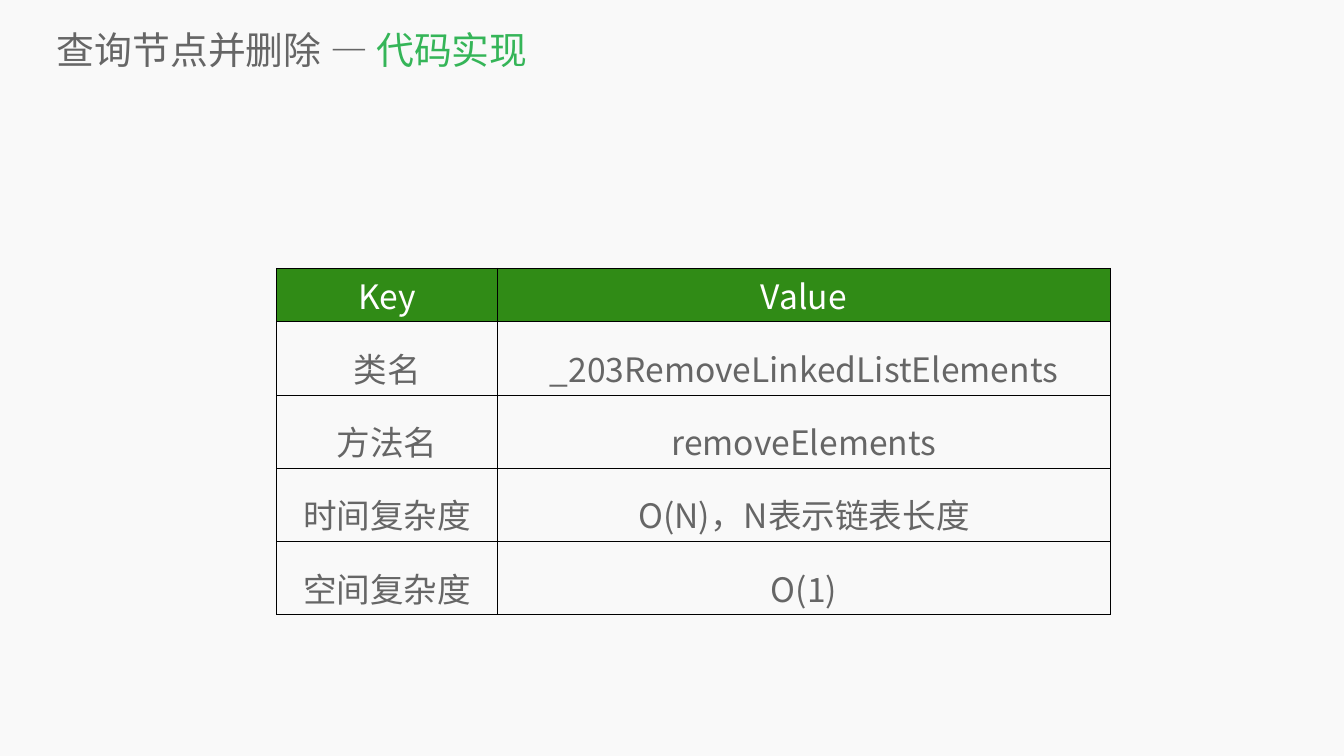
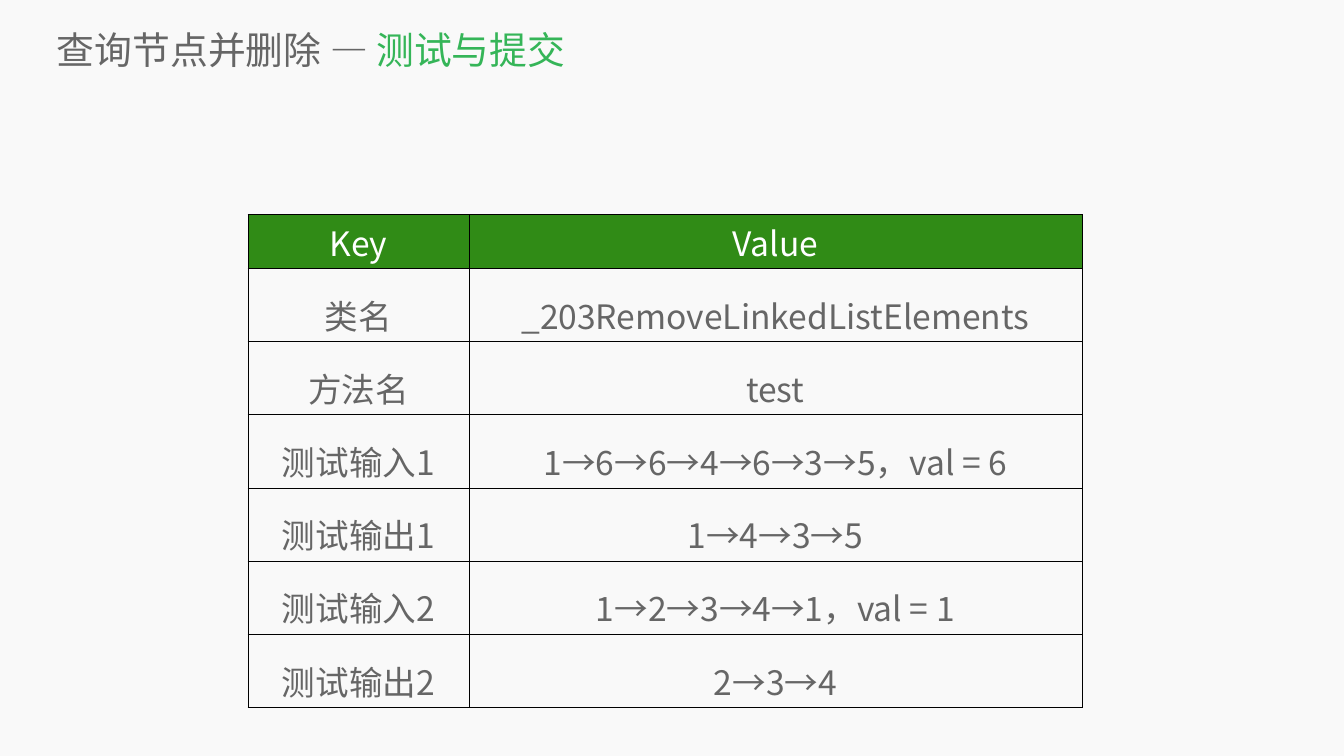
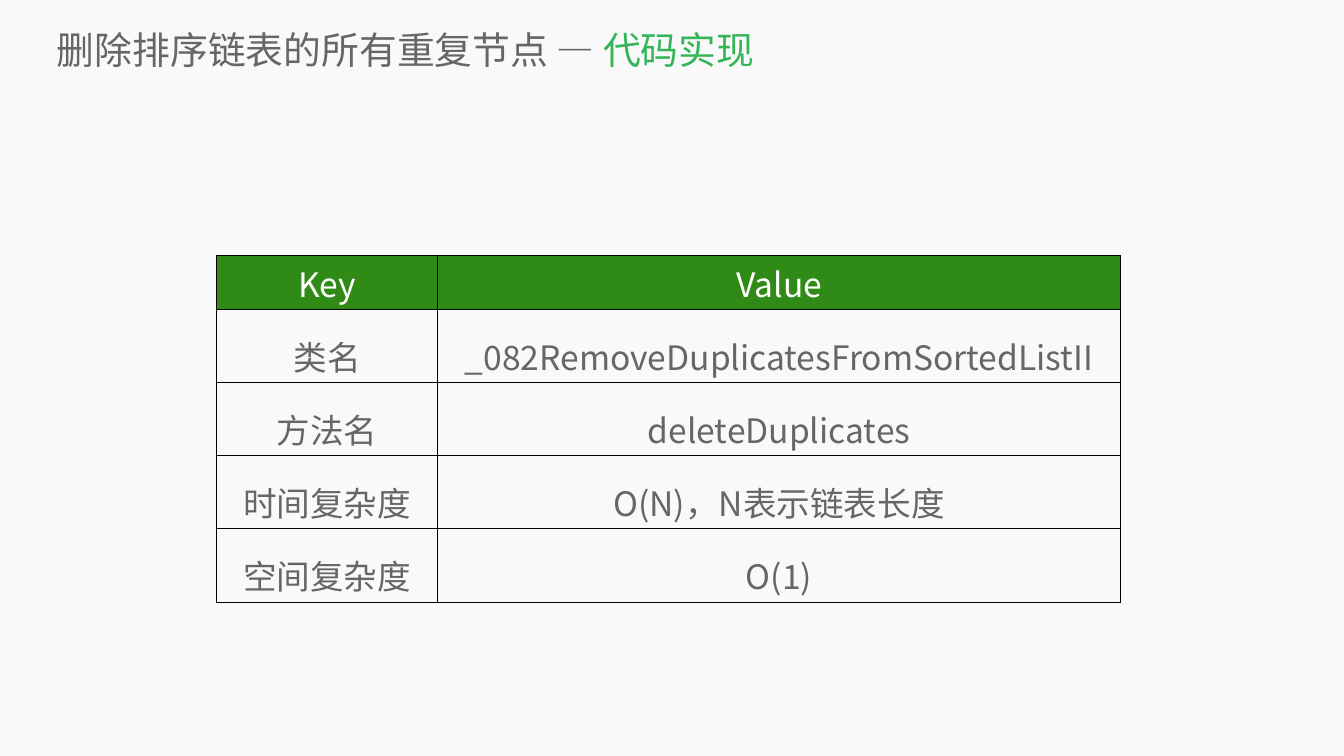
from dataclasses import dataclass

import lxml.etree
import pptx
import pptx.dml.color
import pptx.enum.text
import pptx.oxml.ns
import pptx.slide
import pptx.table
import pptx.text.text
import pptx.util
from pptx.util import Cm

RGBColor = pptx.dml.color.RGBColor
PAPER = RGBColor(0xF9, 0xF9, 0xF9)
GREY = RGBColor(0x66, 0x66, 0x66)
ACCENT = RGBColor(0x35, 0xB5, 0x58)
HEADER_GREEN = RGBColor(0x30, 0x8B, 0x16)
WHITE = RGBColor(0xFF, 0xFF, 0xFF)
BLACK = RGBColor(0, 0, 0)

FONT = "Noto Sans CJK SC"
TITLE_SIZE = pptx.util.Pt(54)
CELL_SIZE = pptx.util.Pt(48)
BORDER_WIDTH = pptx.util.Pt(1)
ROW_SPACING = 1.4

KEY_WIDTH = Cm(11.13)
HEADER_HEIGHT = Cm(2.16)
ROW_HEIGHT = Cm(2.11)
FRAME_HEADER = Cm(2.28)
FRAME_ROW = Cm(3.1)

TITLE_FORMAT = {
    "left": Cm(2.87), "top": Cm(1.19), "width": Cm(63.91), "height": Cm(2.59),
}
TITLE_FRAME_FORMAT = {
    "margin_left": 0, "margin_top": 0, "margin_right": 0, "margin_bottom": 0,
    "vertical_anchor": pptx.enum.text.MSO_ANCHOR.MIDDLE,
    "auto_size": pptx.enum.text.MSO_AUTO_SIZE.NONE,
    "word_wrap": True,
}


@dataclass(frozen=True)
class TableSlide:
    topic: str
    step: str
    left: Cm
    top: Cm
    value_width: Cm
    rows: tuple[tuple[str, str], ...]


COMPLEXITY_ROWS = (("时间复杂度", "O(N)，N表示链表长度"), ("空间复杂度", "O(1)"))
REMOVE_CLASS = ("类名", "_203RemoveLinkedListElements")

SLIDES = (
    TableSlide("查询节点并删除", "代码实现", Cm(13.94), Cm(13.51), Cm(30.89), (
        REMOVE_CLASS,
        ("方法名", "removeElements"),
        *COMPLEXITY_ROWS,
    )),
    TableSlide("查询节点并删除", "测试与提交", Cm(12.5), Cm(10.82), Cm(30.89), (
        REMOVE_CLASS,
        ("方法名", "test"),
        ("测试输入1", "1→6→6→4→6→3→5，val = 6"),
        ("测试输出1", "1→4→3→5"),
        ("测试输入2", "1→2→3→4→1，val = 1"),
        ("测试输出2", "2→3→4"),
    )),
    TableSlide("删除排序链表的所有重复节点", "代码实现", Cm(10.92), Cm(12.88), Cm(34.42), (
        ("类名", "_082RemoveDuplicatesFromSortedListII"),
        ("方法名", "deleteDuplicates"),
        *COMPLEXITY_ROWS,
    )),
)


def apply_format(target: object, values: dict[str, object]) -> None:
    for name, value in values.items():
        setattr(target, name, value)


def add_run(paragraph: pptx.text.text._Paragraph, text: str,
            size: pptx.util.Length, color: RGBColor) -> None:
    run = paragraph.add_run()
    run.text = text
    apply_format(run.font, {"name": FONT, "size": size})
    run.font.color.rgb = color
    east_asian = lxml.etree.SubElement(run.font._element, pptx.oxml.ns.qn("a:ea"))
    east_asian.set("typeface", FONT)


def add_borders(cell: pptx.table._Cell) -> None:
    properties = cell._tc.get_or_add_tcPr()
    for side in ("lnL", "lnR", "lnT", "lnB"):
        line = lxml.etree.SubElement(
            properties, pptx.oxml.ns.qn(f"a:{side}"), w=str(BORDER_WIDTH))
        fill = lxml.etree.SubElement(line, pptx.oxml.ns.qn("a:solidFill"))
        lxml.etree.SubElement(fill, pptx.oxml.ns.qn("a:srgbClr"), val=str(BLACK))


def write_cell(cell: pptx.table._Cell, text: str, is_header: bool) -> None:
    add_borders(cell)
    paragraph = cell.text_frame.paragraphs[0]
    paragraph.alignment = pptx.enum.text.PP_ALIGN.CENTER
    if is_header:
        cell.fill.solid()
        cell.fill.fore_color.rgb = HEADER_GREEN
    else:
        cell.fill.background()
        paragraph.line_spacing = ROW_SPACING
    add_run(paragraph, text, CELL_SIZE, WHITE if is_header else GREY)


def add_title(slide: pptx.slide.Slide, content: TableSlide) -> None:
    title = slide.shapes.title
    apply_format(title, TITLE_FORMAT)
    apply_format(title.text_frame, TITLE_FRAME_FORMAT)
    paragraph = title.text_frame.paragraphs[0]
    paragraph.alignment = pptx.enum.text.PP_ALIGN.LEFT
    add_run(paragraph, f"{content.topic} — ", TITLE_SIZE, GREY)
    add_run(paragraph, content.step, TITLE_SIZE, ACCENT)


def add_key_value_table(slide: pptx.slide.Slide, content: TableSlide) -> None:
    rows = (("Key", "Value"), *content.rows)
    frame_height = FRAME_HEADER + FRAME_ROW * len(content.rows)
    frame = slide.shapes.add_table(
        len(rows), 2, content.left, content.top,
        KEY_WIDTH + content.value_width, frame_height)
    table = frame.table
    apply_format(table, {"first_row": False, "horz_banding": False})
    for column, width in zip(table.columns, (KEY_WIDTH, content.value_width)):
        column.width = width
    for row_index, texts in enumerate(rows):
        is_header = row_index == 0
        table.rows[row_index].height = HEADER_HEIGHT if is_header else ROW_HEIGHT
        for column_index, text in enumerate(texts):
            write_cell(table.cell(row_index, column_index), text, is_header)
    frame.height = frame_height


def main() -> None:
    presentation = pptx.Presentation()
    apply_format(presentation, {"slide_width": Cm(67.73), "slide_height": Cm(38.1)})
    background = presentation.slide_master.background.fill
    background.solid()
    background.fore_color.rgb = PAPER
    title_only = presentation.slide_layouts.get_by_name("Title Only")
    for content in SLIDES:
        slide = presentation.slides.add_slide(title_only)
        add_title(slide, content)
        add_key_value_table(slide, content)
    presentation.save("out.pptx")


if __name__ == "__main__":
    main()
